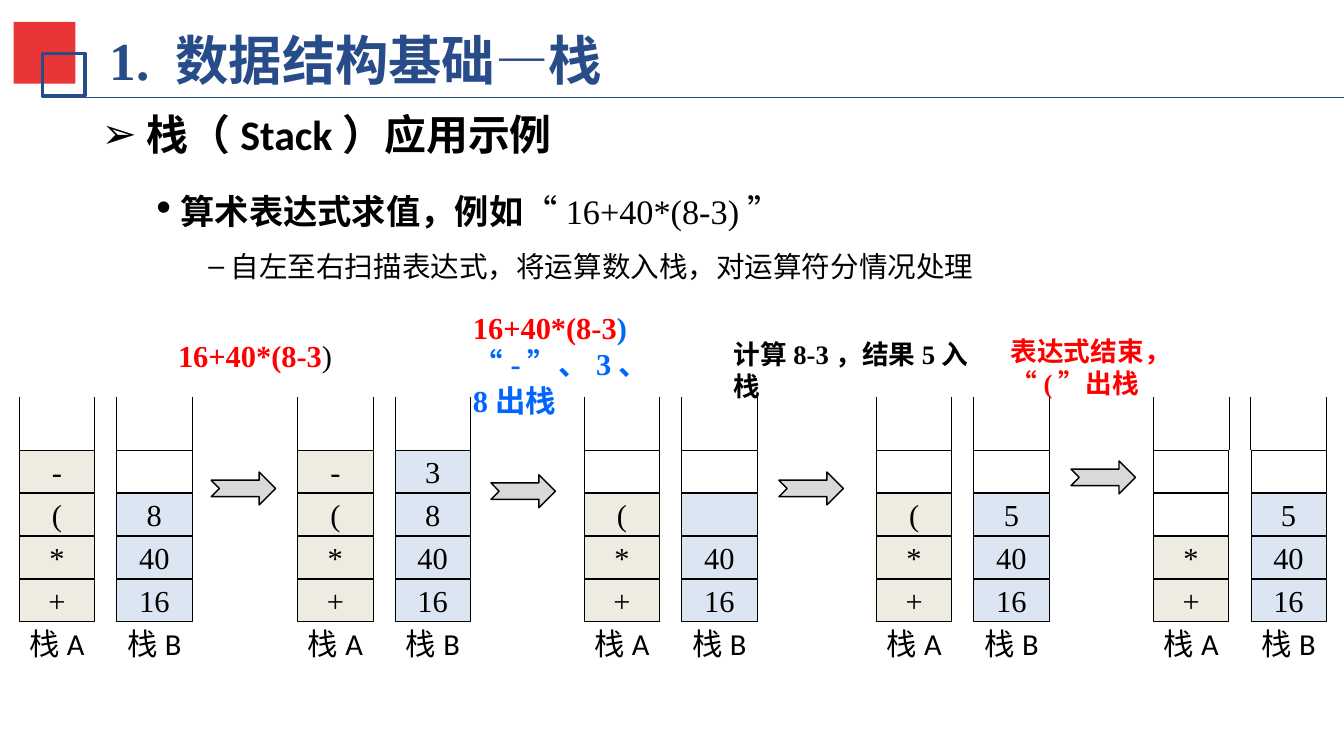
import pptx
import pptx.util
import pptx.dml.color
import pptx.enum.shapes
import pptx.enum.text
import pptx.oxml
import pptx.oxml.ns

Inches = pptx.util.Inches
Pt = pptx.util.Pt
MSO = pptx.enum.shapes.MSO_SHAPE
ALIGN = pptx.enum.text.PP_ALIGN
ANCHOR = pptx.enum.text.MSO_ANCHOR
FIT = pptx.enum.text.MSO_AUTO_SIZE

HEX = {"navy": "284C8A", "red": "E93538", "black": "000000", "hot": "FF0000",
       "blue": "0066FF", "gray": "D9D9D9", "sand": "EEECE1", "sky": "DCE6F2"}
TNR = "Times New Roman"


def rgb(name):
    return pptx.dml.color.RGBColor.from_string(HEX[name])


def apply(item, **vals):
    for key, val in vals.items():
        setattr(item, key, val)


class Deck:
    base = {"size": 16, "name": TNR, "color": "black", "bold": False}

    def __init__(self, wide, high):
        self.prs = pptx.Presentation()
        apply(self.prs, slide_width=Inches(wide), slide_height=Inches(high))
        self.slide = self.prs.slides.add_slide(self.prs.slide_layouts[5])
        self.shapes = self.slide.shapes

    def runs(self, para, parts):
        """Each part is (text, changes); changes carry on to later parts."""
        style = dict(self.base)
        for text, change in parts:
            style.update(change)
            run = para.add_run()
            run.text = text
            apply(run.font, size=Pt(style["size"]), name=style["name"],
                  bold=style["bold"])
            run.font.color.rgb = rgb(style["color"])

    def fill(self, frame, paras, **form):
        for i, parts in enumerate(paras):
            para = frame.add_paragraph() if i else frame.paragraphs[0]
            apply(para, **form)
            self.runs(para, parts)

    def title(self, box, parts):
        head = self.shapes.title
        keys = ("left", "top", "width", "height")
        apply(head, **dict(zip(keys, map(Inches, box))))
        frame = head.text_frame
        apply(frame, word_wrap=True, auto_size=FIT.NONE,
              vertical_anchor=ANCHOR.TOP, margin_left=Inches(0.07),
              margin_right=Inches(0.07), margin_top=Inches(0.04),
              margin_bottom=Inches(0.04))
        self.fill(frame, [parts], alignment=ALIGN.LEFT)

    def text(self, box, paras, **form):
        frame = self.shapes.add_textbox(*map(Inches, box)).text_frame
        frame.word_wrap = True
        self.fill(frame, paras, **form)
        return frame

    def bullet(self, para, mark, left, hang):
        props = para._p.get_or_add_pPr()
        props.set("marL", str(Inches(left)))
        props.set("indent", str(Inches(hang)))
        for tag, key, val in (("a:buFont", "typeface", "Arial"),
                              ("a:buChar", "char", mark)):
            node = pptx.oxml.parse_xml(
                f"<{tag} {pptx.oxml.ns.nsdecls('a')}/>")
            node.set(key, val)
            props.append(node)

    def shape(self, kind, box, fill=None, line=None, width=0.25, text=""):
        item = self.shapes.add_shape(kind, *map(Inches, box))
        item.shadow.inherit = False
        if fill:
            item.fill.solid()
            item.fill.fore_color.rgb = rgb(fill)
        else:
            item.fill.background()
        if line:
            item.line.color.rgb = rgb(line)
            item.line.width = Pt(width)
        else:
            item.line.fill.background()
        if text:
            item.text_frame.vertical_anchor = ANCHOR.MIDDLE
            self.fill(item.text_frame, [[(text, {})]], alignment=ALIGN.CENTER)

    def line(self, ends, color, width):
        item = self.shapes.add_connector(
            pptx.enum.shapes.MSO_CONNECTOR.STRAIGHT, *map(Inches, ends))
        item.line.color.rgb = rgb(color)
        item.line.width = Pt(width)
        item._element.spPr.append(pptx.oxml.parse_xml(
            f"<a:effectLst {pptx.oxml.ns.nsdecls('a')}/>"))

    def stack(self, left, name, cells, fill):
        """Draw open sides, four slots from the bottom up, and a label."""
        for side in (left, left + 0.55):
            self.line((side, 2.89, side, 3.28), "black", 0.25)
        for row, cell in enumerate(cells):
            self.shape(MSO.RECTANGLE, (left, 4.22 - row * 0.314, 0.55, 0.31),
                       None if cell is None else fill, "black", text=cell)
        self.text((left - 0.03, 4.51, 0.61, 0.37),
                  [[(name, {"name": "Calibri"})]], alignment=ALIGN.CENTER)


def main():
    deck = Deck(9.8, 5.51)

    # Title and its ornament
    deck.title((0.73, 0.16, 6.91, 0.55), [
        ("1. ", {"size": 28, "color": "navy", "bold": True}),
        ("数据结构基础—栈", {"name": "Arial"})])
    deck.shape(MSO.RECTANGLE, (0.1, 0.16, 0.45, 0.45), "red")
    deck.shape(MSO.RECTANGLE, (0.31, 0.39, 0.31, 0.31), None, "navy", 2)
    deck.line((0.38, 0.71, 9.8, 0.71), "navy", 0.75)

    # Bulleted outline
    body = deck.text((0.65, 0.75, 8.59, 1.61), [
        [("栈（Stack）应用示例", {"size": 22, "name": "Calibri", "bold": True})],
        [(" ", {"size": 22, "name": "Calibri", "bold": True}),
         ("算术表达式求值，例如", {"size": 18}), ("“", {"bold": False}),
         ("16+40*(8-3)", {"name": TNR}), ("”", {"name": "Calibri"})],
        [(" 自左至右扫描表达式，将运算数入栈，对运算符分情况处理",
          {"size": 15, "name": "Calibri"})]])
    apply(body, margin_left=Inches(0.09), margin_right=Inches(0.09),
          margin_top=Inches(0.04), margin_bottom=Inches(0.04))
    marks = (("➢", 0.33, -0.33, 1.0, 4.4, 0), ("•", 0.4, 0, 1.3, 4.4, 0),
             ("–", 0.78, 0, 1.3, 3, 1))
    for para, (mark, left, hang, lead, gap, level) in zip(body.paragraphs,
                                                          marks):
        apply(para, line_spacing=lead, space_before=Pt(gap), level=level)
        deck.bullet(para, mark, left, hang)

    # Stack states: left edge, operators, operands
    states = ((0.14, ("+", "*", "(", "-"), ("16", "40", "8", None)),
              (2.17, ("+", "*", "(", "-"), ("16", "40", "8", "3")),
              (4.26, ("+", "*", "(", None), ("16", "40", "", None)),
              (6.39, ("+", "*", "(", None), ("16", "40", "5", None)),
              (8.41, ("+", "*", None, None), ("16", "40", "5", None)))
    for left, ops, nums in states:
        deck.stack(left, "栈A", ops, "sand")
        deck.stack(left + 0.71, "栈B", nums, "sky")

    # Arrows between states
    for left, top in ((1.54, 3.44), (3.58, 3.46), (5.68, 3.44), (7.81, 3.36)):
        deck.shape(MSO.NOTCHED_RIGHT_ARROW, (left, top, 0.47, 0.24),
                   "gray", "black", 0.75)

    # Step notes
    scan = ("16+40*(8-3", {"color": "hot", "bold": True})
    deck.text((1.2, 2.41, 1.34, 0.37),
              [[scan, (")", {"color": "black", "bold": False})]])
    deck.text((3.35, 2.2, 1.63, 0.64), [
        [scan, (")", {"color": "blue"})],
        [("“-”、3、8出栈", {"color": "blue", "bold": True})]])
    deck.text((5.25, 2.41, 1.94, 0.34),
              [[("计算8-3，结果5入栈", {"size": 14, "bold": True})]])
    deck.text((7.27, 2.39, 2.03, 0.34), [
        [("表达式结束，“(”出栈", {"size": 14, "color": "hot", "bold": True})]])

    deck.prs.save("out.pptx")


if __name__ == "__main__":
    main()
